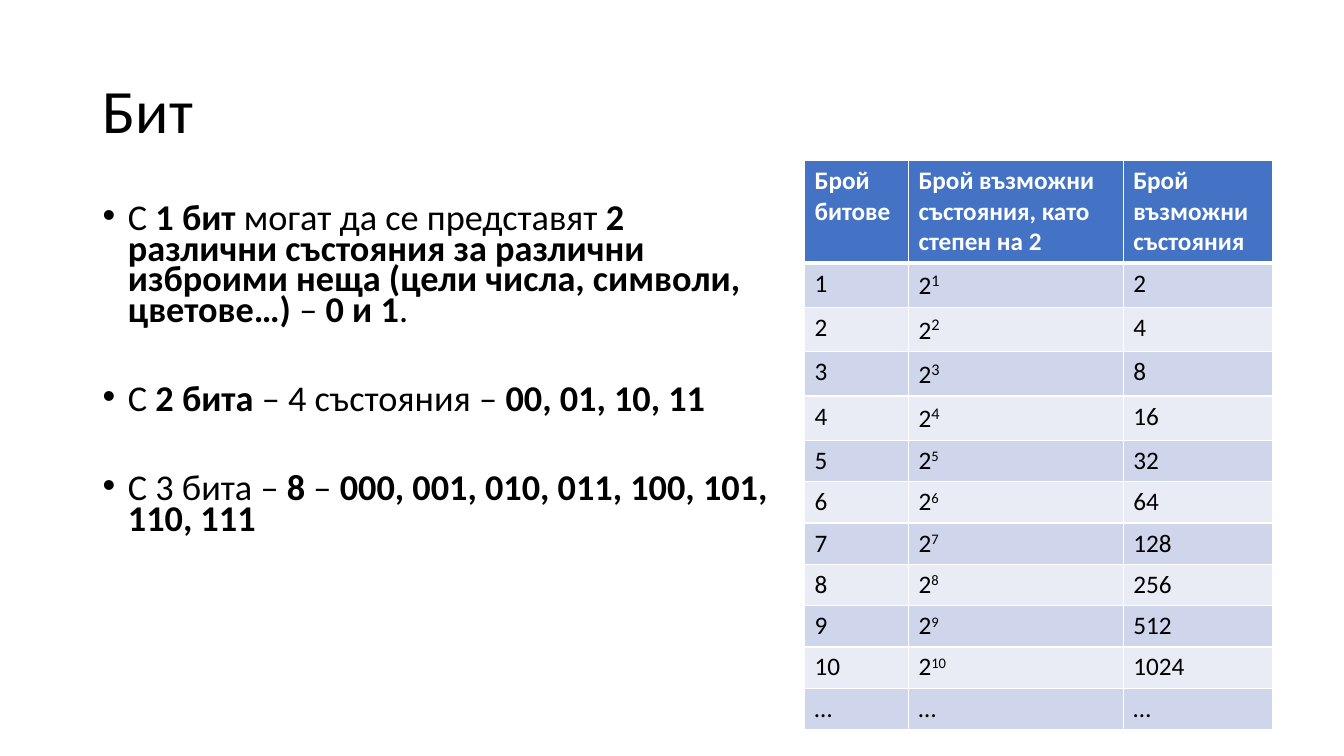
from lxml.etree import SubElement
from pptx import Presentation
from pptx.dml.color import RGBColor
from pptx.enum.text import MSO_ANCHOR as Anchor, MSO_AUTO_SIZE as AutoSize, PP_ALIGN as Align
from pptx.oxml.ns import qn
from pptx.util import Inches, Pt

COLORS = {"text": "000000", "white": "FFFFFF", "header": "4472C4",
          "odd": "CFD5EA", "even": "E9EBF5"}


def add_span(para, text, size=18, bold=False, color="text", raised=False):
    span = para.add_run()
    span.text = text
    font = span.font
    font.name, font.size, font.bold = "Calibri", Pt(size), bold
    font.color.rgb = RGBColor.from_string(COLORS[color])
    if raised:
        font._element.set("baseline", "30000")


def add_border(cell, side, width):
    line = SubElement(cell._tc.get_or_add_tcPr(), qn(f"a:ln{side}"), w=str(Pt(width)))
    fill = SubElement(line, qn("a:solidFill"))
    SubElement(fill, qn("a:srgbClr"), val=COLORS["white"])


deck = Presentation()
deck.slide_width, deck.slide_height = Inches(13.33), Inches(7.5)
page = deck.slides.add_slide(deck.slide_layouts[5])

# Title
title = page.shapes.title
title.left, title.top, title.width, title.height = map(Inches, (0.92, 0.4, 11.5, 1.45))
title.text_frame.auto_size = AutoSize.NONE
title.text_frame.vertical_anchor = Anchor.MIDDLE
para = title.text_frame.paragraphs[0]
para.alignment, para.line_spacing = Align.LEFT, 0.9
add_span(para, "Бит", size=44)

# Bullets: spans alternate between regular and bold
bullets = [
    ["С ", "1 бит ", "могат да се представят ",
     "2 различни състояния за различни изброими неща (цели числа, символи, цветове…)",
     " – ", "0 и 1", "."],
    ["С ", "2 бита ", "– 4 състояния – ", "00, 01, 10, 11"],
    ["С 3 бита – ", "8", " – ", "000, 001, 010, 011, 100, 101, 110, 111"],
]
box = page.shapes.add_textbox(*map(Inches, (0.92, 2, 6.85, 3.57)))
frame = box.text_frame
frame.word_wrap = True
for index, spans in enumerate(bullets):
    para = frame.add_paragraph() if index else frame.paragraphs[0]
    para.line_spacing = 0.7
    para.space_before = Pt(42 if index else 10)
    props = para._p.get_or_add_pPr()
    props.set("marL", str(Inches(0.25)))
    props.set("indent", str(Inches(-0.25)))
    SubElement(props, qn("a:buFont"), typeface="Arial")
    SubElement(props, qn("a:buChar"), char="•")
    for position, text in enumerate(spans):
        add_span(para, text, size=25.9, bold=position % 2 == 1)

# Table of states: each cell holds its text and an optional exponent
rows = [[("Брой битове", ""), ("Брой възможни състояния, като степен на 2", ""),
         ("Брой възможни състояния", "")]]
rows += [[(str(bits), ""), ("2", str(bits)), (str(2 ** bits), "")] for bits in range(1, 11)]
rows.append([("…", "")] * 3)

table = page.shapes.add_table(len(rows), 3, *map(Inches, (7.98, 1.59, 4.65, 5.57))).table
table.horz_banding = False
for column, width in zip(table.columns, (1.03, 2.13, 1.48)):
    column.width = Inches(width)

for r, row in enumerate(rows):
    large_exponent = 1 <= r <= 4
    table.rows[r].height = Inches(1.02 if r == 0 else 0.44 if large_exponent else 0.41)
    for c, (text, exponent) in enumerate(row):
        cell = table.cell(r, c)
        for side in "LRTB":
            under_header = (r, side) in ((0, "B"), (1, "T"))
            add_border(cell, side, 3 if under_header else 1)
        cell.fill.solid()
        shade = "header" if r == 0 else "odd" if r % 2 else "even"
        cell.fill.fore_color.rgb = RGBColor.from_string(COLORS[shade])
        para = cell.text_frame.paragraphs[0]
        add_span(para, text, bold=r == 0, color="white" if r == 0 else "text")
        if exponent:
            add_span(para, exponent, size=20 if large_exponent else 18, raised=True)

deck.save("out.pptx")
